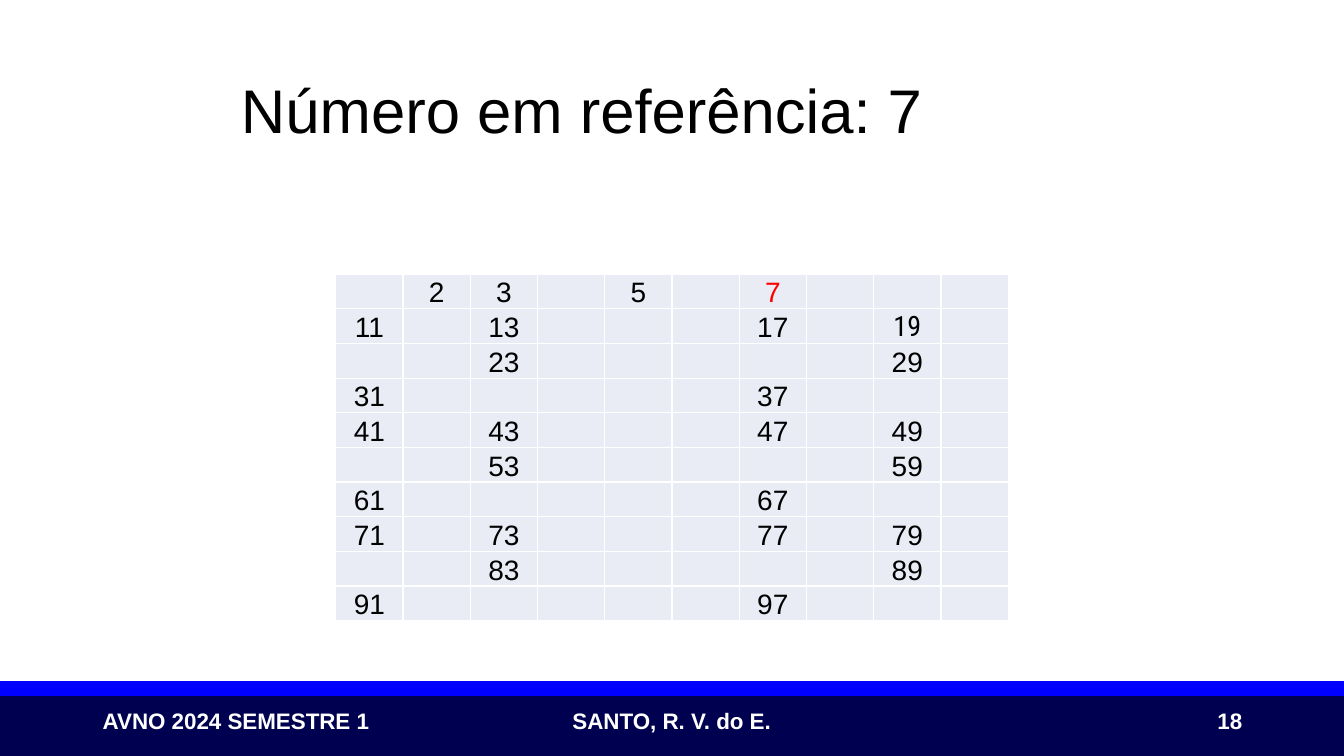
import pptx
import pptx.util
import pptx.dml.color
import pptx.enum.shapes
import pptx.enum.text
import pptx.oxml
import pptx.oxml.ns
from pptx.util import Inches

COLORS = {
    "navy": "000050",
    "blue": "0000FF",
    "white": "FFFFFF",
    "black": "000000",
    "red": "FF0000",
    "cell": "E9EBF5",
}
ALIGN = pptx.enum.text.PP_ALIGN
ANCHOR = pptx.enum.text.MSO_ANCHOR
GRID_SIZE = 10
REFERENCE = 7
CROSSED_OUT_BY = (2, 3, 5)


def rgb(name):
    return pptx.dml.color.RGBColor.from_string(COLORS[name])


def format_text(paragraph, size, color, align=ALIGN.LEFT, bold=False, font="Arial"):
    paragraph.alignment = align
    for run in paragraph.runs:
        run.font.name = font
        run.font.size = pptx.util.Pt(size)
        run.font.bold = bold
        run.font.color.rgb = rgb(color)


def add_band(slide, top, height, color):
    band = slide.shapes.add_shape(
        pptx.enum.shapes.MSO_SHAPE.RECTANGLE,
        0, Inches(top), Inches(13.33), Inches(height))
    band.shadow.inherit = False
    band.fill.solid()
    band.fill.fore_color.rgb = rgb(color)
    band.line.color.rgb = rgb(color)
    band.line.width = pptx.util.Pt(1)


def add_footer_text(slide, text, left, top, width, height, align=ALIGN.LEFT):
    box = slide.shapes.add_textbox(
        Inches(left), Inches(top), Inches(width), Inches(height))
    frame = box.text_frame
    frame.vertical_anchor = ANCHOR.MIDDLE
    # Only right-aligned text needs the box's full width
    frame.word_wrap = align == ALIGN.RIGHT
    frame.text = text
    format_text(frame.paragraphs[0], 16, "white", align, bold=True)


def set_title(slide, text):
    title = slide.shapes.title
    title.left, title.top = Inches(2.29), Inches(0.4)
    title.width, title.height = Inches(10.12), Inches(1.45)
    frame = title.text_frame
    frame.text = text
    frame.vertical_anchor = ANCHOR.MIDDLE
    frame.paragraphs[0].line_spacing = 0.9
    format_text(frame.paragraphs[0], 44, "black")


def set_borders(cell, color):
    properties = cell._tc.get_or_add_tcPr()
    for position, side in enumerate(("lnL", "lnR", "lnT", "lnB")):
        properties.insert(position, pptx.oxml.parse_xml(
            f'<a:{side} {pptx.oxml.ns.nsdecls("a")} w="12700"><a:solidFill>'
            f'<a:srgbClr val="{COLORS[color]}"/></a:solidFill></a:{side}>'))


def is_left_in_sieve(number):
    if number in CROSSED_OUT_BY:
        return True
    return number > 1 and all(number % prime for prime in CROSSED_OUT_BY)


def fill_cell(cell, number):
    cell.margin_left = cell.margin_right = cell.margin_top = Inches(0.01)
    cell.margin_bottom = 0
    cell.vertical_anchor = ANCHOR.BOTTOM
    cell.fill.solid()
    cell.fill.fore_color.rgb = rgb("cell")
    set_borders(cell, "white")
    if is_left_in_sieve(number):
        cell.text_frame.text = str(number)
        color = "red" if number == REFERENCE else "black"
        font = "Roboto Condensed" if number == 19 else "Arial"
        format_text(cell.text_frame.paragraphs[0], 20, color, ALIGN.CENTER, font=font)


def add_sieve_table(slide):
    table = slide.shapes.add_table(
        GRID_SIZE, GRID_SIZE,
        Inches(3.33), Inches(2.72), Inches(6.67), Inches(3.35)).table
    table.first_row = False
    table.horz_banding = False
    for row in range(GRID_SIZE):
        for column in range(GRID_SIZE):
            fill_cell(table.cell(row, column), row * GRID_SIZE + column + 1)


def main():
    presentation = pptx.Presentation()
    presentation.slide_width = Inches(13.33)
    presentation.slide_height = Inches(7.5)
    slide = presentation.slides.add_slide(presentation.slide_layouts[5])

    # Footer
    add_band(slide, 6.9, 0.6, "navy")
    add_band(slide, 6.76, 0.14, "blue")
    add_footer_text(slide, "AVNO 2024 SEMESTRE 1", 0.92, 6.96, 2.89, 0.37)
    add_footer_text(slide, "SANTO, R. V. do E.", 5.58, 6.96, 2.2, 0.37)
    add_footer_text(slide, "18", 9.42, 6.95, 3, 0.4, ALIGN.RIGHT)

    # Title and sieve
    set_title(slide, f"Número em referência: {REFERENCE}")
    add_sieve_table(slide)

    presentation.save("out.pptx")


if __name__ == "__main__":
    main()
